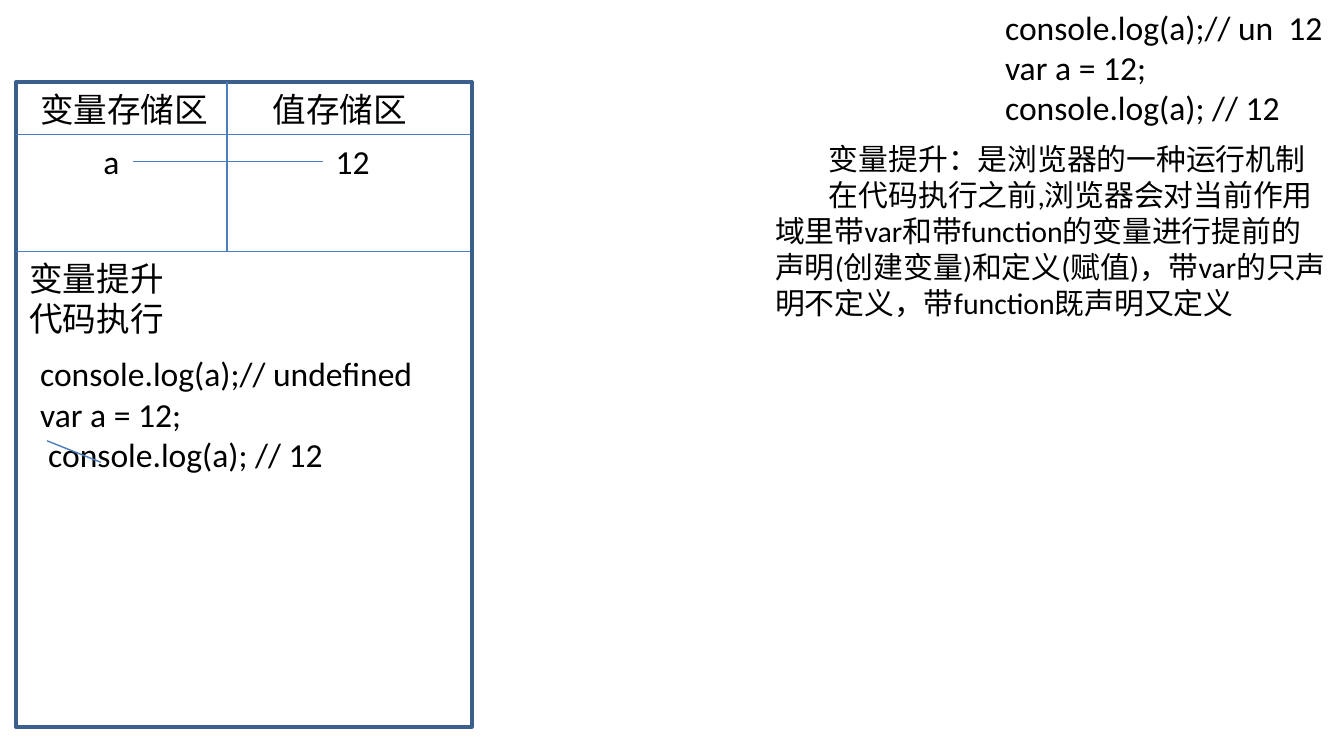
from dataclasses import dataclass

from lxml.etree import SubElement
from pptx import Presentation
from pptx.dml.color import RGBColor
from pptx.enum.shapes import MSO_CONNECTOR, MSO_SHAPE
from pptx.enum.text import MSO_AUTO_SIZE
from pptx.oxml.ns import qn
from pptx.util import Inches, Pt


@dataclass(frozen=True)
class Theme:
    font: str = "Calibri"
    text: RGBColor = RGBColor(0, 0, 0)
    paper: RGBColor = RGBColor(0xFF, 0xFF, 0xFF)
    border: RGBColor = RGBColor(0x3A, 0x5F, 0x8C)
    rule: RGBColor = RGBColor(0x4B, 0x7E, 0xBC)
    size: int = 18
    note_size: int = 16


class Board:
    def __init__(self, slide, theme):
        self.s = slide
        self.theme = theme

    def box(self, x, y, w, h):
        sp = self.s.shapes.add_shape(
            MSO_SHAPE.RECTANGLE, Inches(x), Inches(y), Inches(w), Inches(h))
        sp.shadow.inherit = False
        sp.fill.solid()
        sp.fill.fore_color.rgb = self.theme.paper
        sp.line.color.rgb = self.theme.border
        sp.line.width = Pt(2)

    def line(self, x1, y1, x2, y2):
        c = self.s.shapes.add_connector(
            MSO_CONNECTOR.STRAIGHT, Inches(x1), Inches(y1), Inches(x2), Inches(y2))
        c.line.color.rgb = self.theme.rule
        c.line.width = Pt(0.75)
        SubElement(c._element.spPr, qn("a:effectLst"))

    def text(self, x, y, w, h, lines, size=None, wrap=False, indents=()):
        sp = self.s.shapes.add_textbox(Inches(x), Inches(y), Inches(w), Inches(h))
        tf = sp.text_frame
        tf.word_wrap = wrap
        tf.auto_size = MSO_AUTO_SIZE.SHAPE_TO_FIT_TEXT
        tf.text = "\n".join(lines)
        for p in tf.paragraphs:
            p.font.name = self.theme.font
            p.font.size = Pt(size or self.theme.size)
            p.font.color.rgb = self.theme.text
        # First-line indents, in inches
        for p, indent in zip(tf.paragraphs, indents):
            p._p.get_or_add_pPr().set("indent", str(Inches(indent)))


# Slide in 16:9 format
prs = Presentation()
prs.slide_width = Inches(10)
prs.slide_height = Inches(10 * 9 / 16)
theme = Theme()
board = Board(prs.slides.add_slide(prs.slide_layouts[6]), theme)

# Code sample and explanation
board.text(6.88, 0, 3.12, 1.31,
           ["console.log(a);// un\u00a0\u00a012", "var a = 12;", "console.log(a); // 12"],
           indents=[0.5] * 3)
board.text(5.67, 1, 4.33, 1.75,
           ["变量提升：是浏览器的一种运行机制",
            "在代码执行之前,浏览器会对当前作用域里带var和带function的变量进行提前的"
            "声明(创建变量)和定义(赋值)，带var的只声明不定义，带function既声明又定义"],
           size=theme.note_size, wrap=True, indents=[0.4] * 2)

# Memory frame with its storage areas
left, right, top, head, floor, middle = 0.12, 3.5, 0.61, 1, 1.87, 1.69
board.box(left, top, 3.39, 4.8)
for y in (floor, head):
    board.line(left, y, right, y)
board.line(middle, floor, middle, top)
board.text(0.2, top, 1.46, 0.4, ["变量存储区"])
board.text(1.93, top, 1.21, 0.4, ["值存储区"])

# Execution steps
board.text(left, floor, 1.21, 0.71, ["变量提升", "代码执行"])
board.text(0.2, 2.58, 3.01, 1.01,
           ["console.log(a);// undefined", "var a = 12;", "console.log(a); // 12"],
           indents=[0, 0, 0.06])
board.line(0.35, 3.28, 0.75, 3.44)

# Variable bound to its value
board.text(0.67, head, 0.32, 0.4, ["a"])
board.text(2.4, head, 0.46, 0.4, ["12"])
board.line(2.4, 1.2, 0.99, 1.2)

prs.save("out.pptx")
